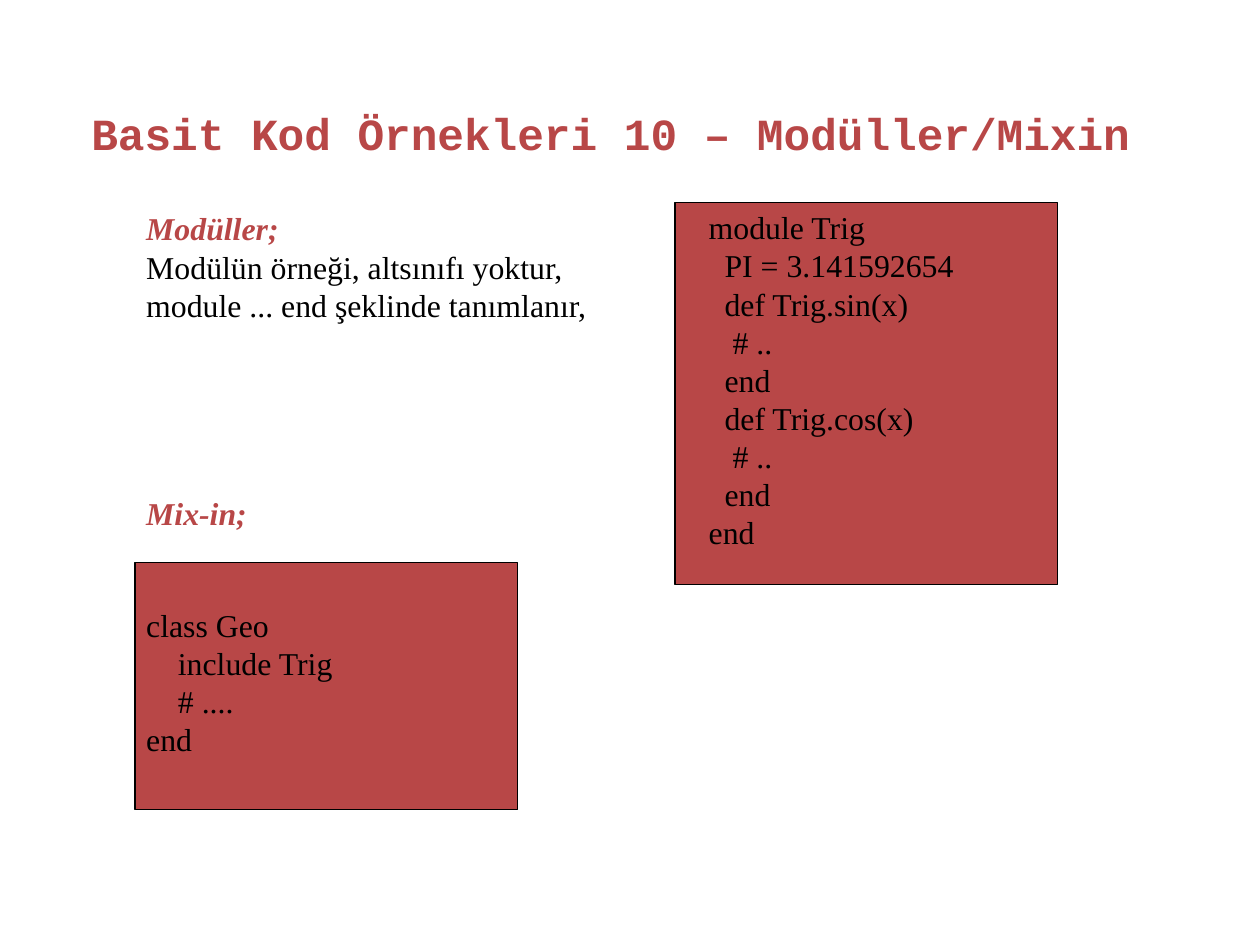
from pptx import Presentation
from pptx.dml.color import RGBColor
from pptx.enum.shapes import MSO_SHAPE
from pptx.enum.text import MSO_ANCHOR, PP_ALIGN
from pptx.util import Cm, Inches, Pt

COLORS = {"red": "B84747", "black": "000000"}
BODY_FONT, TITLE_FONT = "Times New Roman", "Courier New"

# Places are left, top, width, height in grid cells; the slide is 56 x 42 cells.
CELL = Cm(0.5)
COLUMNS, ROWS = 56, 42

TITLE = "Basit Kod Örnekleri 10 – Modüller/Mixin"
TITLE_PLACE = (3.56, 4.47, 49.43, 2.8)

PANELS = [(30, 9, 17, 17), (6, 25, 17, 11)]

# Each block: place, red heading or None, black lines
BLOCKS = [
    ((6, 9.05, 25, 9.3), "Modüller;", [
        "Modülün örneği, altsınıfı yoktur,",
        "module ... end şeklinde tanımlanır,",
    ]),
    ((31, 9, 16, 18), None, [
        "module Trig",
        "  PI = 3.141592654",
        "  def Trig.sin(x)",
        "   # ..",
        "  end",
        "  def Trig.cos(x)",
        "   # ..",
        "  end",
        "end",
    ]),
    ((6, 21.7, 15, 2.1), "Mix-in;", []),
    ((6, 26.67, 18, 6.75), None, [
        "class Geo",
        "    include Trig",
        "    # ....",
        "end",
    ]),
]


def color(name):
    return RGBColor.from_string(COLORS[name])


def on_grid(place):
    return [int(cells * CELL) for cells in place]


def add_panel(slide, place):
    panel = slide.shapes.add_shape(MSO_SHAPE.RECTANGLE, *on_grid(place))
    panel.shadow.inherit = False
    panel.fill.solid()
    panel.fill.fore_color.rgb = color("red")
    panel.line.color.rgb = color("black")
    panel.line.width = Pt(0)


def add_text(slide, place, lines, font_name, size):
    """Add a text box; lines holds (text, colour name, bold, italic)."""
    frame = slide.shapes.add_textbox(*on_grid(place)).text_frame
    frame.word_wrap = True
    frame.vertical_anchor = MSO_ANCHOR.TOP
    frame.margin_left = frame.margin_right = Inches(0.1)
    frame.margin_top = frame.margin_bottom = Inches(0.05)
    for index, (text, color_name, bold, italic) in enumerate(lines):
        paragraph = frame.add_paragraph() if index else frame.paragraphs[0]
        paragraph.text = text
        paragraph.alignment = PP_ALIGN.LEFT
        font = paragraph.font
        font.name, font.size = font_name, Pt(size)
        font.bold, font.italic = bold, italic
        font.color.rgb = color(color_name)


def main():
    presentation = Presentation()
    presentation.slide_width = COLUMNS * CELL
    presentation.slide_height = ROWS * CELL
    slide = presentation.slides.add_slide(presentation.slide_layouts[6])

    for place in PANELS:
        add_panel(slide, place)
    add_text(slide, TITLE_PLACE, [(TITLE, "red", True, False)], TITLE_FONT, 28)
    for place, heading, body in BLOCKS:
        lines = [(heading, "red", True, True)] if heading else []
        lines += [(text, "black", False, False) for text in body]
        add_text(slide, place, lines, BODY_FONT, 20)

    presentation.save("out.pptx")


if __name__ == "__main__":
    main()
